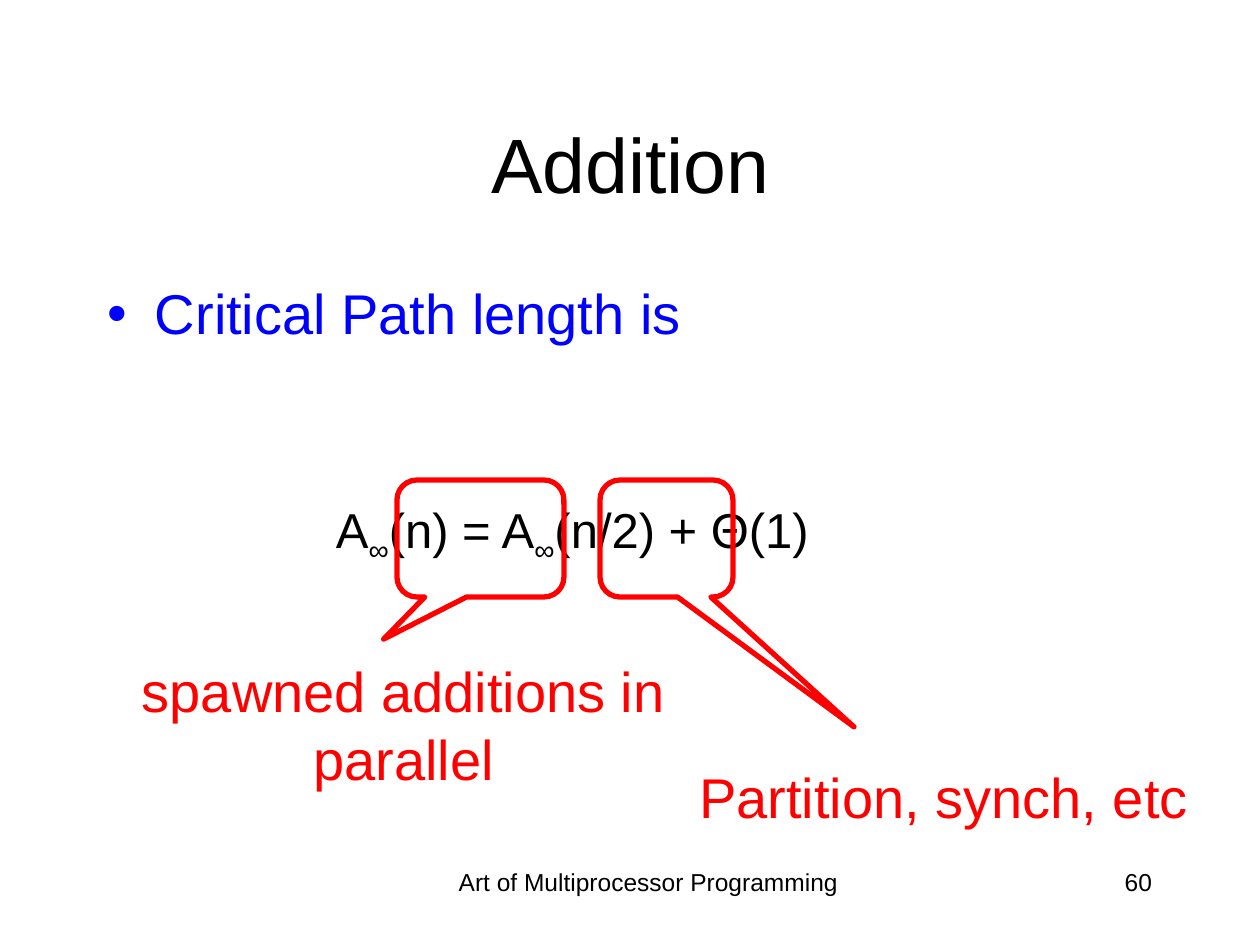
from lxml import etree
from pptx import Presentation
from pptx.dml.color import RGBColor
from pptx.enum.shapes import MSO_SHAPE
from pptx.enum.text import MSO_ANCHOR, PP_ALIGN
from pptx.oxml.ns import qn
from pptx.util import Emu, Pt

PX = 914400 // 126
LEFT, CENTER, RIGHT = PP_ALIGN.LEFT, PP_ALIGN.CENTER, PP_ALIGN.RIGHT
CALLOUT = MSO_SHAPE.ROUNDED_RECTANGULAR_CALLOUT
FONT = "Arial"
BLACK, BLUE, RED = "000000", "0000FF", "FF0000"
SUBSCRIPT = "-25000"
INSETS = (13, 6)
BULLET_INDENT = 47

TITLE = ("Addition", (95, 84, 1071, 158))
POINT = ("Critical Path length is", (95, 273, 1071, 80))
# Each part of the formula with whether it is a subscript
FORMULA = [("A", False), ("∞", True), ("(n) = A", False), ("∞", True),
           ("(n/2) + Θ(1)", False)]
FORMULA_BOX = (323, 493, 600, 70)
# text, box, size, colour, alignment
LABELS = [
    ("Art of Multiprocessor Programming", (431, 861, 435, 63), 14, BLACK, CENTER),
    ("60", (903, 861, 262, 63), 14, BLACK, RIGHT),
    ("spawned additions in parallel", (117, 651, 573, 147), 32, RED, CENTER),
    ("Partition, synch, etc", (674, 756, 540, 81), 32, RED, CENTER),
]
# box, then pointer x, pointer y and corner radius as shares of the box
CALLOUTS = [
    ((397, 480, 167, 117), (-0.58, 0.86, 0.17)),
    ((600, 480, 133, 117), (1.41, 1.61, 0.17)),
]


def px(*lengths):
    return [Emu(length * PX) for length in lengths]


def rgb(color):
    return RGBColor.from_string(color)


def style(paragraph, size, color, align=LEFT):
    paragraph.alignment = align
    for run in paragraph.runs:
        run.font.name = FONT
        run.font.size = Pt(size)
        run.font.color.rgb = rgb(color)


def add_text(slide, text, box, size, color, align=LEFT):
    frame = slide.shapes.add_textbox(*px(*box)).text_frame
    frame.word_wrap = True
    frame.margin_left, frame.margin_top = px(*INSETS)
    frame.margin_right, frame.margin_bottom = px(*INSETS)
    paragraph = frame.paragraphs[0]
    paragraph.text = text
    style(paragraph, size, color, align)
    return paragraph


def add_bullet(paragraph, color):
    properties = paragraph._p.get_or_add_pPr()
    properties.set("marL", str(BULLET_INDENT * PX))
    properties.set("indent", str(-BULLET_INDENT * PX))
    bullet_color = etree.SubElement(properties, qn("a:buClr"))
    etree.SubElement(bullet_color, qn("a:srgbClr"), val=color)
    etree.SubElement(properties, qn("a:buFont"), typeface=FONT)
    etree.SubElement(properties, qn("a:buChar"), char="•")


def add_title(slide, text, box):
    title = slide.shapes.title
    title.left, title.top, title.width, title.height = px(*box)
    title.text_frame.text = text
    title.text_frame.vertical_anchor = MSO_ANCHOR.MIDDLE
    style(title.text_frame.paragraphs[0], 44, BLACK, CENTER)


def add_formula(slide):
    paragraph = add_text(slide, "", FORMULA_BOX, 28, BLACK)
    for text, is_subscript in FORMULA:
        run = paragraph.add_run()
        run.text = text
        if is_subscript:
            run._r.get_or_add_rPr().set("baseline", SUBSCRIPT)
    style(paragraph, 28, BLACK)


def add_callout(slide, box, adjustments):
    callout = slide.shapes.add_shape(CALLOUT, *px(*box))
    for index, value in enumerate(adjustments):
        callout.adjustments[index] = value
    callout.shadow.inherit = False
    callout.fill.background()
    callout.line.color.rgb = rgb(RED)
    callout.line.width = Pt(3)


def main():
    deck = Presentation()
    deck.slide_width, deck.slide_height = px(1260, 945)
    slide = deck.slides.add_slide(deck.slide_layouts[5])
    add_title(slide, *TITLE)
    add_bullet(add_text(slide, *POINT, 32, BLUE), BLUE)
    add_formula(slide)
    for box, adjustments in CALLOUTS:
        add_callout(slide, box, adjustments)
    for label in LABELS:
        add_text(slide, *label)
    deck.save("out.pptx")


if __name__ == "__main__":
    main()
